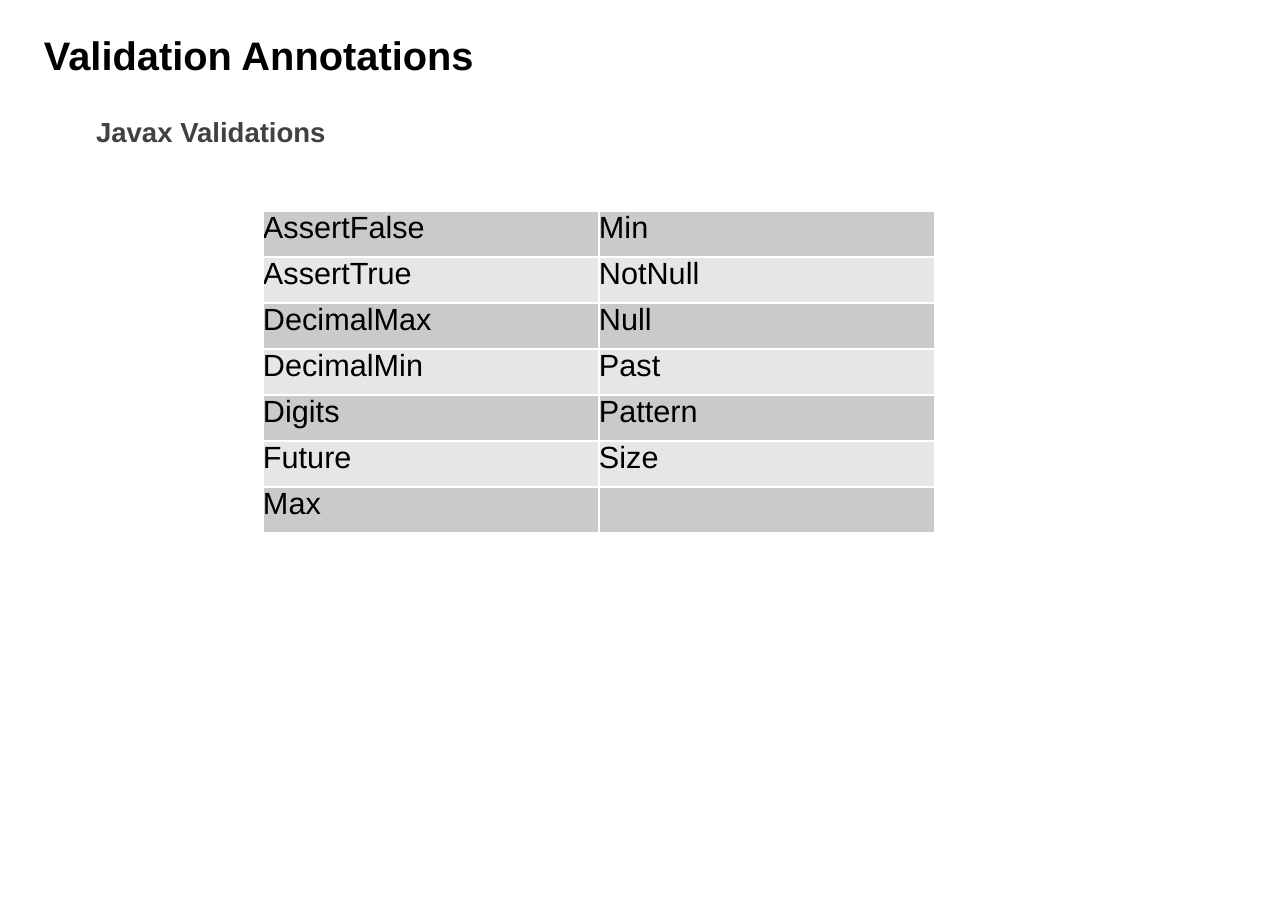
from pptx import Presentation
from pptx.dml.color import RGBColor
from pptx.enum.shapes import MSO_SHAPE
from pptx.util import Emu, Pt

PX = 8298  # EMU per px


def rgb(value):
    return RGBColor.from_string(value)


def write(tf, text, size, color, bold=False):
    tf.text = text
    for r in tf.paragraphs[0].runs:
        r.font.name = "Arial"
        r.font.size = Pt(size)
        r.font.bold = bold
        r.font.color.rgb = rgb(color)


prs = Presentation()
prs.slide_width, prs.slide_height = Emu(1288 * PX), Emu(912 * PX)
s = prs.slides.add_slide(prs.slide_layouts[6])

# White footer block
footer = s.shapes.add_shape(
    MSO_SHAPE.RECTANGLE, 1141 * PX, 785 * PX, 129 * PX, 26 * PX
)
footer.shadow.inherit = False
footer.fill.solid()
footer.fill.fore_color.rgb = rgb("FFFFFF")
footer.line.color.rgb = rgb("FFFFFF")
footer.line.width = Pt(2)

# Title and subtitle
headings = [
    ("Validation Annotations", 44, 31, 1201, 88, 26, "000000"),
    ("Javax Validations", 96, 115, 1174, 565, 18, "414042"),
]
for text, x, y, w, h, size, color in headings:
    sp = s.shapes.add_textbox(x * PX, y * PX, w * PX, h * PX)
    tf = sp.text_frame
    tf.word_wrap = True
    tf.margin_left = tf.margin_right = tf.margin_top = tf.margin_bottom = 0
    write(tf, text, size, color, bold=True)

# Annotation table, with the white borders of the default style
annotations = [
    ("AssertFalse", "Min"),
    ("AssertTrue", "NotNull"),
    ("DecimalMax", "Null"),
    ("DecimalMin", "Past"),
    ("Digits", "Pattern"),
    ("Future", "Size"),
    ("Max", ""),
]
BANDS = ["CACACA", "E6E6E6"]
COL_W, ROW_H = 336, 46
rows = len(annotations)
table = s.shapes.add_table(
    rows, 2, 263 * PX, 211 * PX, 2 * COL_W * PX, rows * ROW_H * PX
).table
table.first_row = False
table.horz_banding = False
for col in table.columns:
    col.width = Emu(COL_W * PX)

for i, names in enumerate(annotations):
    table.rows[i].height = Emu(ROW_H * PX)
    for j, name in enumerate(names):
        cell = table.cell(i, j)
        cell.margin_left = cell.margin_right = 0
        cell.margin_top = cell.margin_bottom = 0
        write(cell.text_frame, name, 20, "000000")
        cell.fill.solid()
        cell.fill.fore_color.rgb = rgb(BANDS[i % 2])

prs.save("out.pptx")
